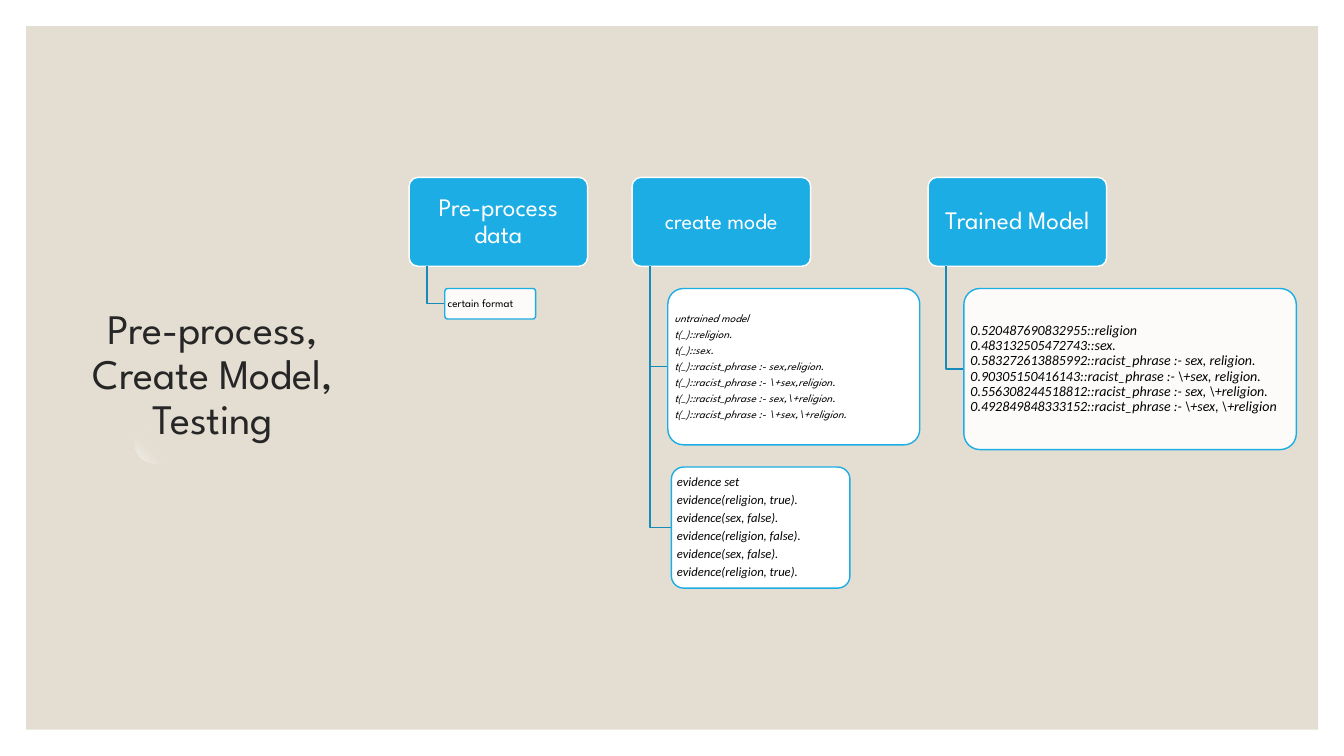
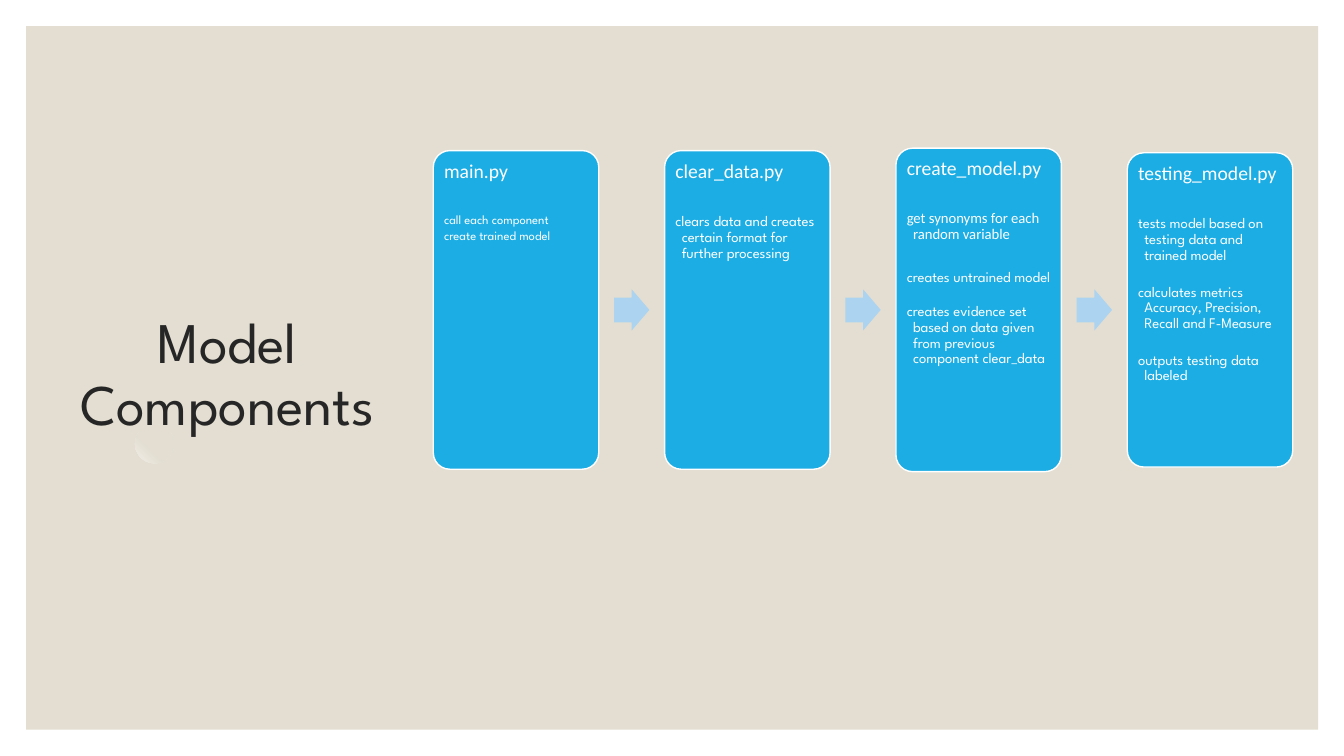
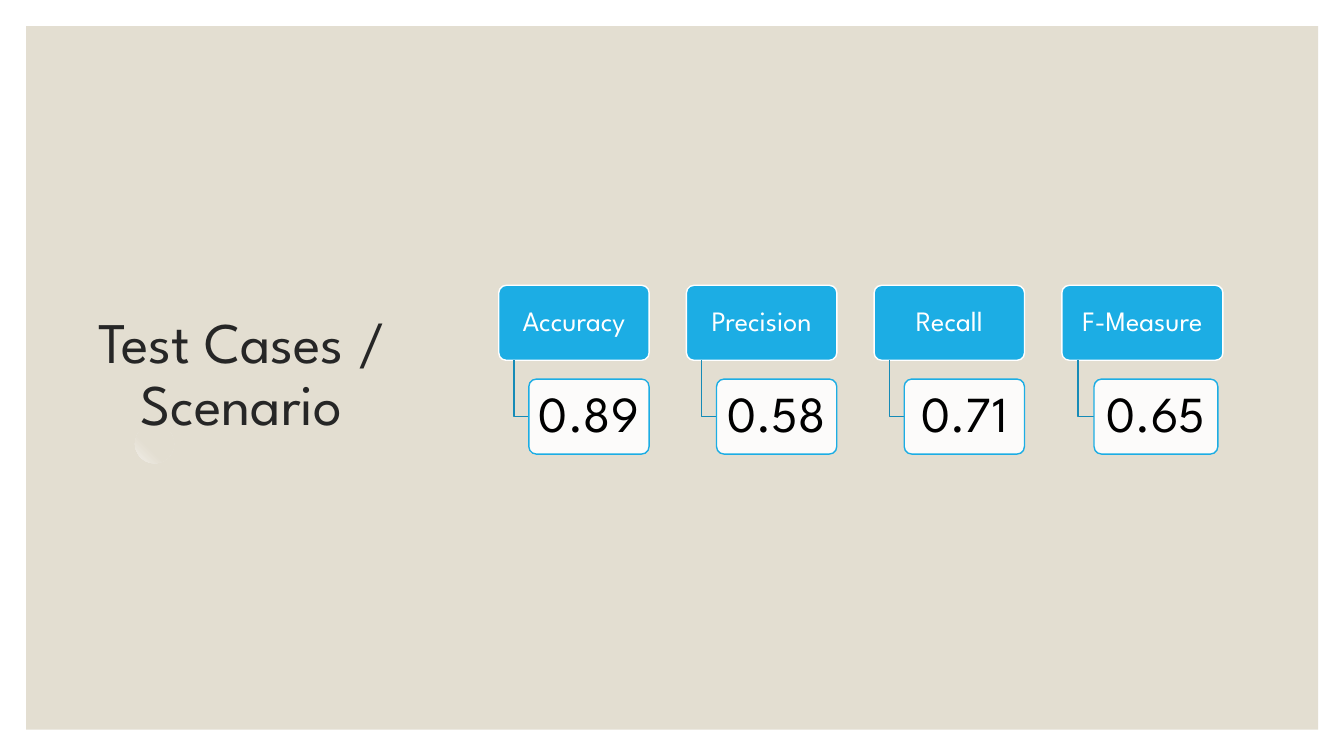
from dataclasses import dataclass

from lxml import etree
from pptx import Presentation
from pptx.dml.color import RGBColor
from pptx.enum import shapes as kinds, text as txt
from pptx.oxml import parse_xml
from pptx.oxml.ns import nsdecls, qn
from pptx.util import Cm, Pt


@dataclass(frozen=True)
class Theme:
    sans: str = "League Spartan"
    alt: str = "Calibri"
    sand: str = "E3DED1"
    glow: str = "F1EEE8"
    ink: str = "262626"
    blue: str = "1CADE4"
    edge: str = "168BB7"
    pale: str = "ACD3EF"
    white: str = "FFFFFF"
    black: str = "000000"
    title: float = 41
    small_title: float = 30
    head: float = 18
    metric: float = 20
    value: float = 36
    card: float = 14
    note: float = 10.5
    code: float = 10
    fine: float = 9
    tiny: float = 8


T = Theme()
KIND = kinds.MSO_SHAPE
MID, TOP = txt.MSO_ANCHOR.MIDDLE, txt.MSO_ANCHOR.TOP
LEFT, CENTER = txt.PP_ALIGN.LEFT, txt.PP_ALIGN.CENTER


@dataclass(frozen=True)
class Leaf:
    lines: tuple
    wide: float
    high: float
    size: float
    font: str = T.sans
    italic: bool = False
    clear: bool = False
    align: int = LEFT
    pad: tuple = (0.05, 0.03)
    gap: float = 0.35
    shift: float = 0


def rgb(code):
    return RGBColor.from_string(code)


def draw(slide, kind, box, fill, line=None, adj=()):
    shape = slide.shapes.add_shape(kind, *map(Cm, box))
    shape.shadow.inherit = False
    shape.fill.solid()
    shape.fill.fore_color.rgb = rgb(fill)
    if line:
        shape.line.color.rgb = rgb(line)
        shape.line.width = Pt(1)
    else:
        shape.line.fill.background()
    for i, part in enumerate(adj):
        shape.adjustments[i] = part
    return shape


def panel(slide, box, fill, line):
    return draw(slide, KIND.ROUNDED_RECTANGLE, box, fill, line, [0.1])


def style(para, size, color, font=T.sans, italic=False, align=LEFT, after=0):
    para.alignment = align
    para.line_spacing = 0.9
    para.space_after = Pt(after)
    for run in para.runs:
        run.font.size = Pt(size)
        run.font.name = font
        run.font.italic = italic
        run.font.color.rgb = rgb(color)


def write(shape, lines, anchor, pad):
    frame = shape.text_frame
    frame.text = "\n".join(lines)
    frame.word_wrap = True
    frame.vertical_anchor = anchor
    frame.margin_left = frame.margin_right = Cm(pad[0])
    frame.margin_top = frame.margin_bottom = Cm(pad[1])
    return frame.paragraphs


def backdrop(slide, layout):
    """Put the sand panel and its soft round mark on the layout."""
    sand = draw(slide, KIND.RECTANGLE, (0.66, 0.66, 32.56, 17.73), T.sand)
    mark = draw(slide, KIND.OVAL, (3.4, 10.69, 0.99, 0.99), T.sand)
    glow = parse_xml(
        f'<a:gradFill {nsdecls("a")} rotWithShape="1"><a:gsLst>'
        f'<a:gs pos="60000"><a:srgbClr val="{T.sand}"/></a:gs>'
        f'<a:gs pos="100000"><a:srgbClr val="{T.glow}"/></a:gs></a:gsLst>'
        '<a:path path="circle"><a:fillToRect l="100000" b="100000"/></a:path>'
        '</a:gradFill>')
    solid = mark.element.spPr.find(qn("a:solidFill"))
    solid.getparent().replace(solid, glow)
    for i, shape in enumerate((sand, mark)):
        layout.shapes.element.insert(2 + i, shape.element)


def heading(slide, words, left, wide, size=T.title):
    title = slide.shapes.title
    title.left, title.top, title.width, title.height = map(
        Cm, (left, 1.55, wide, 15.85))
    for para in write(title, [words], MID, (0.25, 0.13)):
        style(para, size, T.ink, align=CENTER)
    title.text_frame.auto_size = txt.MSO_AUTO_SIZE.NONE


def elbow(slide, x, top, right, low):
    pen = slide.shapes.build_freeform(Cm(x), Cm(top))
    pen.add_line_segments([(Cm(x), Cm(low)), (Cm(right), Cm(low))], close=False)
    bend = pen.convert_to_shape()
    bend.shadow.inherit = False
    bend.fill.background()
    bend.line.color.rgb = rgb(T.edge)
    bend.line.width = Pt(1)


def branch(slide, box, label, size, leaves):
    """Draw a head box with leaves stacked below it, joined by elbows."""
    x, y, wide, high = box
    head = panel(slide, box, T.blue, T.white)
    for para in write(head, [label], MID, (0.1, 0.08)):
        style(para, size, T.white, align=CENTER)
    top = y + high * 1.25
    for leaf in leaves:
        left = x + wide * 0.2 + leaf.shift
        elbow(slide, x + wide * 0.1, y + high, left, top + leaf.high / 2)
        shape = panel(slide, (left, top, leaf.wide, leaf.high), T.white, T.blue)
        if leaf.clear:
            color = shape.element.spPr.find(qn("a:solidFill"))[0]
            etree.SubElement(color, qn("a:alpha")).set("val", "90000")
        for para in write(shape, leaf.lines, MID, leaf.pad):
            style(para, leaf.size, T.black, leaf.font, leaf.italic,
                  leaf.align, leaf.size * leaf.gap)
        top += leaf.high + high / 4


def card(slide, box, name, notes):
    """Draw a card; each note is (words, size, font, points after)."""
    shape = panel(slide, box, T.blue, T.white)
    lines = [name] + [note[0] for note in notes]
    first, *rest = write(shape, lines, TOP, (0.15, 0.15))
    style(first, T.card, T.white, T.alt, after=22.2)
    for para, (_, size, font, after) in zip(rest, notes):
        style(para, size, T.white, font, after=after)
        hang = para._p.get_or_add_pPr()
        hang.set("marL", str(Cm(0.16)))
        hang.set("indent", str(-Cm(0.16)))


def flow(slide, left, mid, cards):
    wide, step, tip, tall = 4.17, 5.83, 0.89, 1.04
    for i, (name, high, notes) in enumerate(cards):
        x = left + i * step
        if i:
            start = x - (step - wide + tip) / 2
            draw(slide, KIND.RIGHT_ARROW, (start, mid - tall / 2, tip, tall),
                 T.pale, adj=[0.6, 0.5])
        card(slide, (x, mid - high / 2, wide, high), name, notes)


def stages(slide):
    heading(slide, "Pre-process, Create Model, Testing", 1.6, 7.54, T.small_title)
    ready = Leaf(("certain format",), 2.29, 0.77, T.tiny, clear=True)
    raw = Leaf((
        "untrained model",
        "t(_)::religion.",
        "t(_)::sex.",
        "t(_)::racist_phrase :- sex,religion.",
        r"t(_)::racist_phrase :- \+sex,religion.",
        r"t(_)::racist_phrase :- sex,\+religion.",
        r"t(_)::racist_phrase :- \+sex,\+religion.",
    ), 6.35, 3.94, T.tiny, italic=True)
    proof = Leaf((
        "evidence set",
        "evidence(religion, true).",
        "evidence(sex, false).",
        "evidence(religion, false).",
        "evidence(sex, false).",
        "evidence(religion, true).",
    ), 4.5, 3.05, T.fine, T.alt, italic=True, shift=0.09)
    learnt = Leaf((
        "0.520487690832955::religion",
        "0.483132505472743::sex.",
        "0.583272613885992::racist_phrase :- sex, religion.",
        r"0.90305150416143::racist_phrase :- \+sex, religion.",
        r"0.556308244518812::racist_phrase :- sex, \+religion.",
        r"0.492849848333152::racist_phrase :- \+sex, \+religion",
    ), 8.38, 4.06, T.code, T.alt, italic=True, clear=True, gap=0)
    for x, label, size, leaves in (
            (10.31, "Pre-process data", T.head, [ready]),
            (15.93, "create mode", 16, [raw, proof]),
            (23.39, "Trained Model", T.head, [learnt])):
        branch(slide, (x, 4.47, 4.5, 2.24), label, size, leaves)


def parts(slide):
    heading(slide, "Model Components", 0.89, 9.68)
    flow(slide, 10.92, 7.81, (
        ("main.py", 8.03, (
            ("call each component", T.fine, T.sans, 1.35),
            ("create trained model", T.fine, T.sans, 0))),
        ("clear_data.py", 8.03, (
            ("clears data and creates certain format for further processing",
             T.note, T.sans, 0),)),
        ("create_model.py", 8.15, (
            ("get synonyms for each random variable", T.note, T.alt, 19),
            ("creates untrained model", T.note, T.sans, 13),
            ("creates evidence set based on data given from previous "
             "component clear_data", T.note, T.sans, 0))),
        ("testing_model.py", 7.92, (
            ("tests model based on testing data and trained model",
             T.note, T.sans, 15),
            ("calculates metrics Accuracy, Precision, Recall and F-Measure",
             T.note, T.sans, 14.5),
            ("outputs testing data labeled", T.note, T.sans, 0)))))


def scores(slide):
    heading(slide, "Test Cases / Scenario", 1.6, 8.99)
    for i, (label, value, wide, inner) in enumerate((
            ("Accuracy", "0.89", 3.79, 3.03),
            ("Precision", "0.58", 3.79, 3.03),
            ("Recall", "0.71", 3.79, 3.03),
            ("F-Measure", "0.65", 4.06, 3.12))):
        leaf = Leaf((value,), inner, 1.89, T.value, clear=True,
                    align=CENTER, pad=(0.18, 0.13))
        branch(slide, (12.57 + i * 4.73, 7.19, wide, 1.89), label,
               T.metric, [leaf])


def main():
    deck = Presentation()
    deck.slide_width, deck.slide_height = Cm(33.87), Cm(19.05)
    layout = deck.slide_layouts[5]
    for i, build in enumerate((stages, parts, scores)):
        slide = deck.slides.add_slide(layout)
        if i == 0:
            backdrop(slide, layout)
        build(slide)
    deck.save("out.pptx")


if __name__ == "__main__":
    main()
